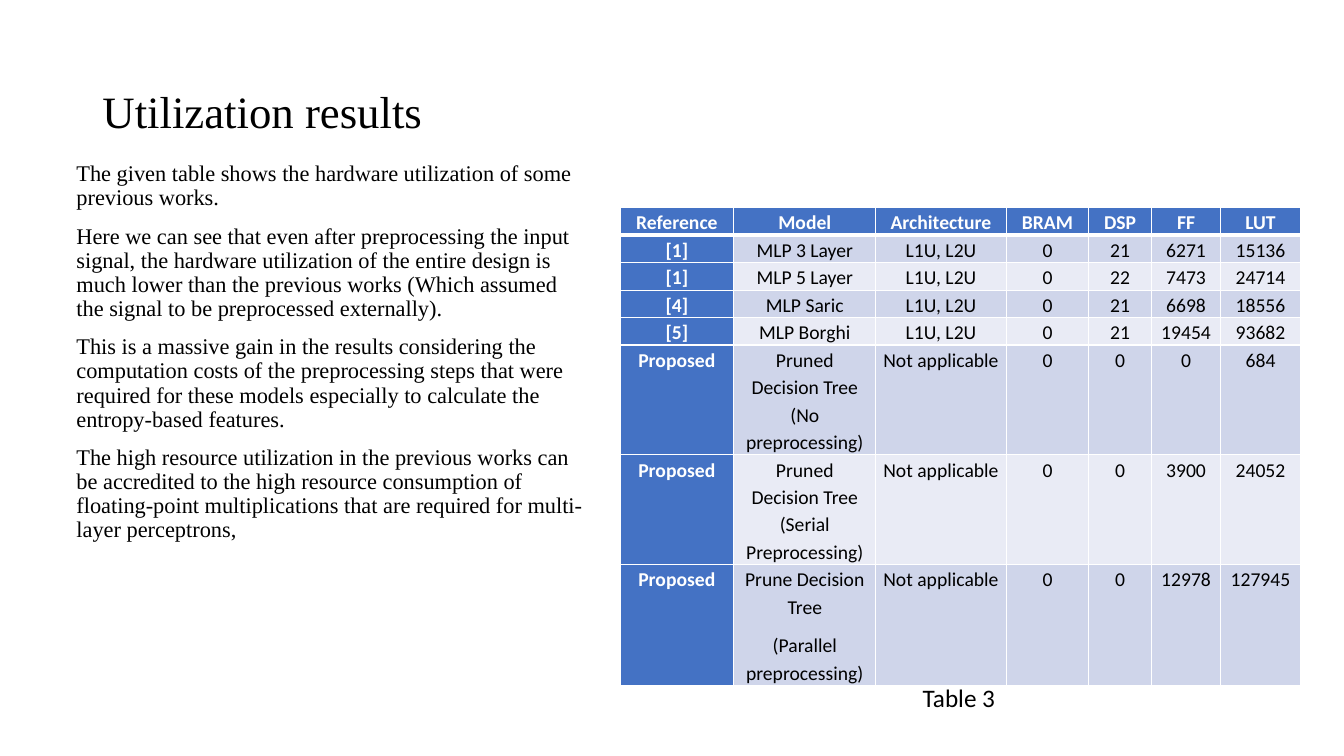
import pptx
import pptx.util
import pptx.dml.color
import pptx.enum.text
import pptx.oxml.ns
import lxml.etree

Pt = pptx.util.Pt
ANCHOR = pptx.enum.text.MSO_ANCHOR
CENTER = pptx.enum.text.PP_ALIGN.CENTER
qn = pptx.oxml.ns.qn

COLORS = {"ink": "000000", "white": "FFFFFF", "accent": "4472C4",
          "band_dark": "CFD5EA", "band_light": "E9EBF5"}

NOTES = [
    "The given table shows the hardware utilization of some previous works.",
    "Here we can see that even after preprocessing the input signal, the hardware utilization of "
    "the entire design is much lower than the previous works (Which assumed the signal to be "
    "preprocessed externally).",
    "This is a massive gain in the results considering the computation costs of the preprocessing "
    "steps that were required for these models especially to calculate the entropy-based features.",
    "The high resource utilization in the previous works can be accredited to the high resource "
    "consumption of floating-point multiplications that are required for multi-layer perceptrons,",
]

COLUMN_WIDTHS = [81.4, 101.4, 93.2, 59, 44.8, 49.4, 57]
ROW_HEIGHTS = [19.6] * 5 + [78.2] * 2 + [86]
ROWS = [
    ["Reference", "Model", "Architecture", "BRAM", "DSP", "FF", "LUT"],
    ["[1]", "MLP 3 Layer", "L1U, L2U", "0", "21", "6271", "15136"],
    ["[1]", "MLP 5 Layer", "L1U, L2U", "0", "22", "7473", "24714"],
    ["[4]", "MLP Saric", "L1U, L2U", "0", "21", "6698", "18556"],
    ["[5]", "MLP Borghi", "L1U, L2U", "0", "21", "19454", "93682"],
    ["Proposed", "Pruned Decision Tree\n(No preprocessing)", "Not applicable", "0", "0", "0", "684"],
    ["Proposed", "Pruned Decision Tree\n(Serial Preprocessing)", "Not applicable", "0", "0", "3900",
     "24052"],
    ["Proposed", ["Prune Decision Tree", "(Parallel preprocessing)"], "Not applicable", "0", "0",
     "12978", "127945"],
]


def rgb(name):
    return pptx.dml.color.RGBColor.from_string(COLORS[name])


def write_text(tf, text, size, font="Calibri", color="ink", bold=False, align=None,
               line=None, before=None, after=None, plain=False):
    """Fill a frame with one paragraph per list item; plain drops bullet and indent."""
    for i, item in enumerate([text] if isinstance(text, str) else text):
        p = tf.add_paragraph() if i else tf.paragraphs[0]
        p.text = item
        if plain:
            pPr = p._p.get_or_add_pPr()
            pPr.set("marL", "0")
            pPr.set("indent", "0")
            lxml.etree.SubElement(pPr, qn("a:buNone"))
        p.alignment = align
        p.line_spacing = line
        if before is not None:
            p.space_before = Pt(before if i else 0)
        if after is not None:
            p.space_after = Pt(after)
        for r in p.runs:
            r.font.size, r.font.name, r.font.bold = Pt(size), font, bold
            r.font.color.rgb = rgb(color)
        for br in p._p.findall(qn("a:br")):
            lxml.etree.SubElement(br, qn("a:rPr"), sz=str(size * 100))


class SlideBuilder:
    serif = "Times New Roman"

    def __init__(self, prs):
        self.s = prs.slides.add_slide(prs.slide_layouts[1])

    def placeholder(self, idx, box, text, anchor, **fmt):
        sp = self.s.placeholders[idx]
        sp.left, sp.top, sp.width, sp.height = map(Pt, box)
        tf = sp.text_frame
        tf.auto_size = pptx.enum.text.MSO_AUTO_SIZE.NONE
        tf.vertical_anchor = anchor
        write_text(tf, text, font=self.serif, line=0.9, **fmt)

    def label(self, box, text, **fmt):
        tf = self.s.shapes.add_textbox(*map(Pt, box)).text_frame
        tf.word_wrap = False
        write_text(tf, text, **fmt)

    def border(self, cell, side, width):
        ln = lxml.etree.SubElement(cell._tc.get_or_add_tcPr(), qn("a:ln" + side), w=str(Pt(width)))
        fill = lxml.etree.SubElement(ln, qn("a:solidFill"))
        lxml.etree.SubElement(fill, qn("a:srgbClr"), val=COLORS["white"])

    def table(self, left, top, rows, widths, heights):
        """Table with a header row, a header column and banded rows."""
        table = self.s.shapes.add_table(len(rows), len(widths), Pt(left), Pt(top),
                                        Pt(sum(widths)), Pt(sum(heights))).table
        table.first_row = table.horz_banding = False
        for column, width in zip(table.columns, widths):
            column.width = Pt(width)
        for i, (row, height) in enumerate(zip(rows, heights)):
            table.rows[i].height = Pt(height)
            for j, text in enumerate(row):
                cell = table.cell(i, j)
                head = i == 0 or j == 0
                cell.margin_left = cell.margin_right = Pt(5.1)
                cell.margin_top = cell.margin_bottom = 0
                thick = {"T": 1, "B": 0}
                for side in "LRTB":
                    self.border(cell, side, 3 if thick.get(side) == i else 1)
                cell.fill.solid()
                cell.fill.fore_color.rgb = rgb(
                    "accent" if head else "band_dark" if i % 2 else "band_light")
                write_text(cell.text_frame, text, size=14, color="white" if head else "ink",
                           bold=head, align=CENTER, line=1.15, after=8)


def main():
    prs = pptx.Presentation()
    prs.slide_width, prs.slide_height = Pt(960), Pt(540)
    slide = SlideBuilder(prs)
    slide.placeholder(0, (66, 42, 310, 60), "Utilization results", ANCHOR.BOTTOM, size=32,
                      align=pptx.enum.text.PP_ALIGN.LEFT)
    slide.table(442.8, 148.4, ROWS, COLUMN_WIDTHS, ROW_HEIGHTS)
    slide.placeholder(1, (47.4, 112.4, 379.4, 386), NOTES, ANCHOR.TOP, size=16, before=10,
                      plain=True)
    slide.label((652, 484, 67, 29), "Table 3", size=18)
    prs.save("out.pptx")


if __name__ == "__main__":
    main()
